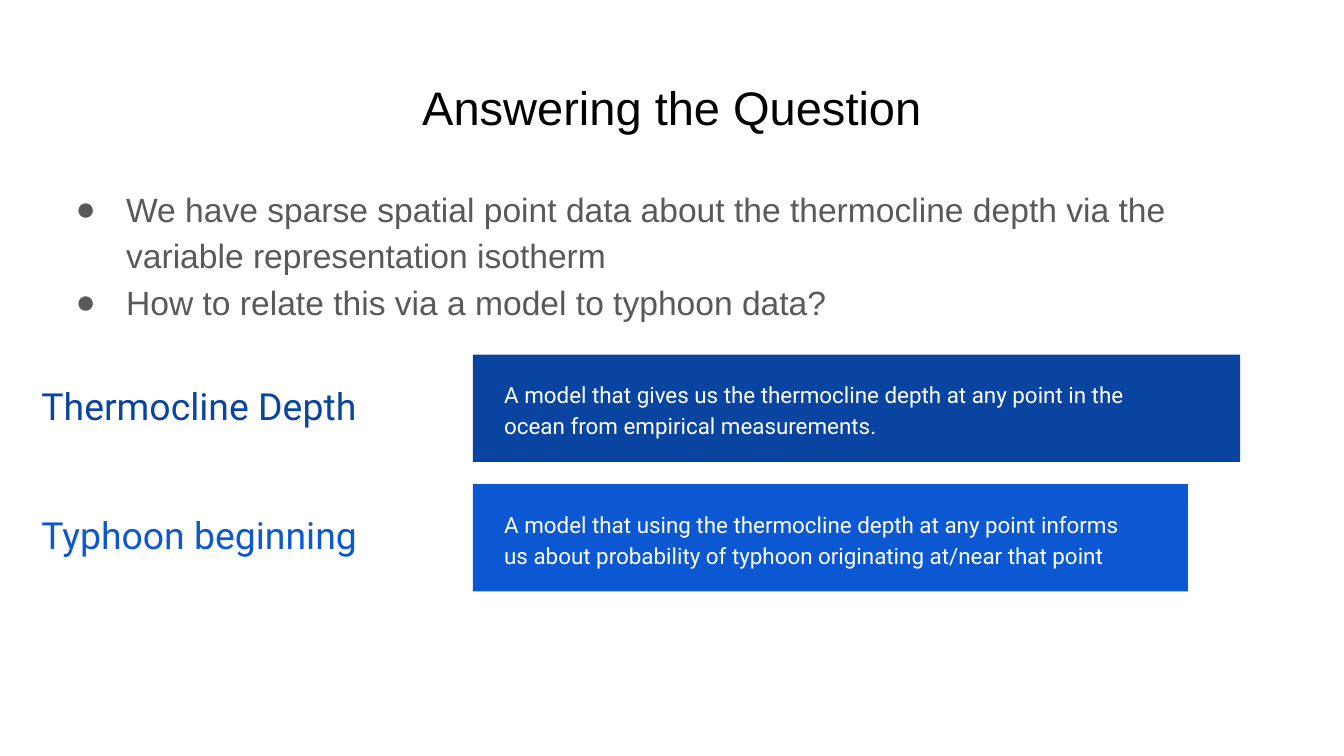
from lxml.etree import SubElement
from pptx import Presentation
from pptx.dml.color import RGBColor
from pptx.enum.shapes import MSO_SHAPE
from pptx.enum.text import MSO_ANCHOR, PP_ALIGN
from pptx.oxml.ns import qn
from pptx.util import Pt

BLACK, GREY, WHITE = "000000", "595959", "FFFFFF"
TITLE = "Answering the Question"
POINTS = [
    "We have sparse spatial point data about the thermocline depth via the variable representation isotherm",
    "How to relate this via a model to typhoon data?",
]
MODELS = [
    ("Thermocline Depth", "A model that gives us the thermocline depth at any point in the ocean from empirical measurements.",
     "0944A1", 190, 411, 375),
    ("Typhoon beginning", "A model that using the thermocline depth at any point informs us about probability of typhoon originating at/near that point",
     "0C58D3", 259.4, 383, 344.2),
]
BAR_LEFT, BAR_HEIGHT = 253.4, 57.5


def rgb(colour):
    return RGBColor.from_string(colour)


def add_text(slide, box, lines, font, size, colour, spacing=1.0,
             align=PP_ALIGN.LEFT, anchor=MSO_ANCHOR.TOP, inset=7.2):
    frame = slide.shapes.add_textbox(*map(Pt, box)).text_frame
    frame.word_wrap = True
    frame.vertical_anchor = anchor
    frame.margin_left = frame.margin_right = Pt(7.2)
    frame.margin_top = frame.margin_bottom = Pt(inset)
    frame.text = "\n".join(lines)
    for paragraph in frame.paragraphs:
        paragraph.alignment = align
        paragraph.line_spacing = spacing
        for run in paragraph.runs:
            run.font.name = font
            run.font.size = Pt(size)
            run.font.color.rgb = rgb(colour)
    return frame


def add_bullets(frame, colour):
    for paragraph in frame.paragraphs:
        properties = paragraph._p.get_or_add_pPr()
        properties.set("marL", str(Pt(36)))
        properties.set("indent", str(-Pt(27)))
        bullet_colour = SubElement(properties, qn("a:buClr"))
        SubElement(bullet_colour, qn("a:srgbClr"), val=colour)
        SubElement(properties, qn("a:buFont"), typeface="Arial")
        SubElement(properties, qn("a:buChar"), char="●")


def add_bar(slide, box, colour):
    bar = slide.shapes.add_shape(MSO_SHAPE.RECTANGLE, *map(Pt, box))
    bar.shadow.inherit = False
    bar.fill.solid()
    bar.fill.fore_color.rgb = rgb(colour)
    bar.line.fill.background()


def add_model(slide, name, description, colour, top, bar_width, text_width):
    label_height, text_height = 50, 45
    middle = top + BAR_HEIGHT / 2
    add_text(slide, (15.1, middle - label_height / 2, 232, label_height), [name],
             "Roboto", 20, colour, 0.9, anchor=MSO_ANCHOR.MIDDLE, inset=3.6)
    add_bar(slide, (BAR_LEFT, top, bar_width, BAR_HEIGHT), colour)
    add_text(slide, (BAR_LEFT + 9.6, middle - text_height / 2, text_width, text_height), [description],
             "Roboto", 12, WHITE, 1.15, anchor=MSO_ANCHOR.MIDDLE, inset=3.6)


def main():
    presentation = Presentation()
    presentation.slide_width, presentation.slide_height = Pt(720), Pt(405)
    slide = presentation.slides.add_slide(presentation.slide_layouts[6])
    add_text(slide, (24.5, 35, 671, 45.4), [TITLE], "Arial", 25.2, BLACK, align=PP_ALIGN.CENTER)
    points = add_text(slide, (24.5, 90.7, 671, 269.3), POINTS, "Arial", 18, GREY, 1.15)
    add_bullets(points, GREY)
    for model in MODELS:
        add_model(slide, *model)
    presentation.save("out.pptx")


if __name__ == "__main__":
    main()
